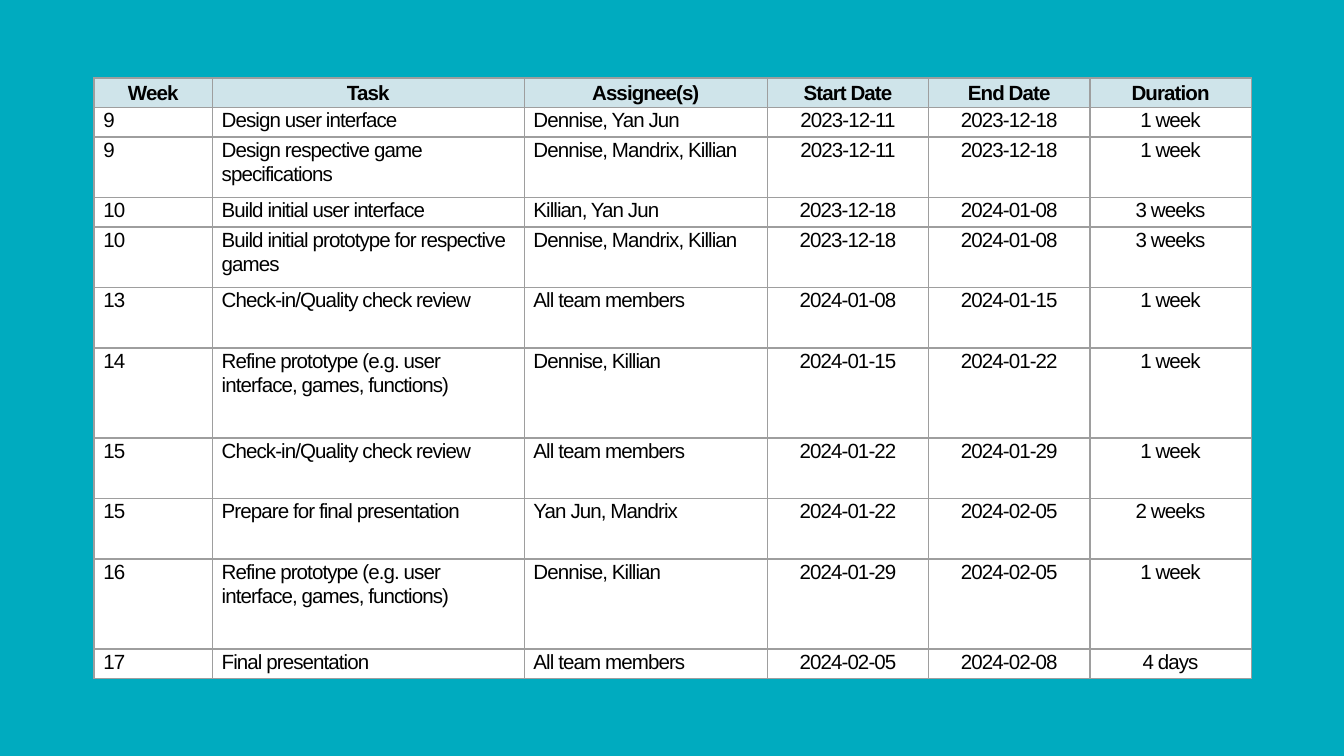
"""Build a slide with a project schedule table."""
from lxml import etree
from pptx import Presentation
from pptx.dml.color import RGBColor
from pptx.enum import text
from pptx.oxml import ns
from pptx.util import Inches, Pt

TEAL = RGBColor(0x00, 0xAB, 0xBF)
PALE_BLUE = RGBColor(0xCF, 0xE4, 0xEA)
WHITE = RGBColor(0xFF, 0xFF, 0xFF)
BLACK = RGBColor(0x00, 0x00, 0x00)
GRAY = RGBColor(0x9E, 0x9E, 0x9E)

COL_WIDTHS = [0.88, 2.32, 1.81, 1.2, 1.2, 1.2]
ROW_HEIGHTS = [0.22, 0.22, 0.45, 0.22, 0.45, 0.45, 0.67, 0.45, 0.45, 0.67, 0.22]
FIRST_CENTERED_COL = 3
SCHEDULE = [
    ("Week", "Task", "Assignee(s)", "Start Date", "End Date", "Duration"),
    ("9", "Design user interface", "Dennise, Yan Jun",
     "2023-12-11", "2023-12-18", "1 week"),
    ("9", "Design respective game specifications", "Dennise, Mandrix, Killian",
     "2023-12-11", "2023-12-18", "1 week"),
    ("10", "Build initial user interface", "Killian, Yan Jun",
     "2023-12-18", "2024-01-08", "3 weeks"),
    ("10", "Build initial prototype for respective games", "Dennise, Mandrix, Killian",
     "2023-12-18", "2024-01-08", "3 weeks"),
    ("13", "Check-in/Quality check review", "All team members",
     "2024-01-08", "2024-01-15", "1 week"),
    ("14", "Refine prototype (e.g. user interface, games, functions)", "Dennise, Killian",
     "2024-01-15", "2024-01-22", "1 week"),
    ("15", "Check-in/Quality check review", "All team members",
     "2024-01-22", "2024-01-29", "1 week"),
    ("15", "Prepare for final presentation", "Yan Jun, Mandrix",
     "2024-01-22", "2024-02-05", "2 weeks"),
    ("16", "Refine prototype (e.g. user interface, games, functions)", "Dennise, Killian",
     "2024-01-29", "2024-02-05", "1 week"),
    ("17", "Final presentation", "All team members",
     "2024-02-05", "2024-02-08", "4 days"),
]


def set_borders(cell):
    tc_pr = cell._tc.get_or_add_tcPr()
    for side in ("a:lnL", "a:lnR", "a:lnT", "a:lnB"):
        ln = etree.SubElement(tc_pr, ns.qn(side), w=str(Pt(0.75)))
        fill = etree.SubElement(ln, ns.qn("a:solidFill"))
        etree.SubElement(fill, ns.qn("a:srgbClr"), val=str(GRAY))


def format_cell(cell, value, header, centered):
    set_borders(cell)
    cell.fill.solid()
    cell.fill.fore_color.rgb = PALE_BLUE if header else WHITE
    cell.margin_left = cell.margin_right = Inches(0.07)
    cell.margin_top = cell.margin_bottom = 0
    cell.vertical_anchor = text.MSO_ANCHOR.MIDDLE if header else text.MSO_ANCHOR.TOP
    p = cell.text_frame.paragraphs[0]
    p.text = value
    p.alignment = text.PP_ALIGN.CENTER if centered else text.PP_ALIGN.LEFT
    p.line_spacing = 1.07
    p.space_after = Pt(8)
    r = p.runs[0]
    r.font.name = "Arial"
    r.font.size = Pt(11)
    r.font.bold = header
    r.font.color.rgb = BLACK
    r._r.get_or_add_rPr().set("spc", "-50")


def add_schedule(s):
    table = s.shapes.add_table(
        len(SCHEDULE), len(COL_WIDTHS), Inches(0.7), Inches(0.58),
        Inches(sum(COL_WIDTHS)), Inches(sum(ROW_HEIGHTS))).table
    for column, width in zip(table.columns, COL_WIDTHS):
        column.width = Inches(width)
    for i, (row, height) in enumerate(zip(table.rows, ROW_HEIGHTS)):
        row.height = Inches(height)
        header = i == 0
        for j, value in enumerate(SCHEDULE[i]):
            format_cell(table.cell(i, j), value, header,
                        header or j >= FIRST_CENTERED_COL)


def main():
    prs = Presentation()
    prs.slide_width = Inches(10)
    prs.slide_height = prs.slide_width * 9 // 16
    s = prs.slides.add_slide(prs.slide_layouts[6])
    s.background.fill.solid()
    s.background.fill.fore_color.rgb = TEAL
    add_schedule(s)
    prs.save("out.pptx")


if __name__ == "__main__":
    main()
